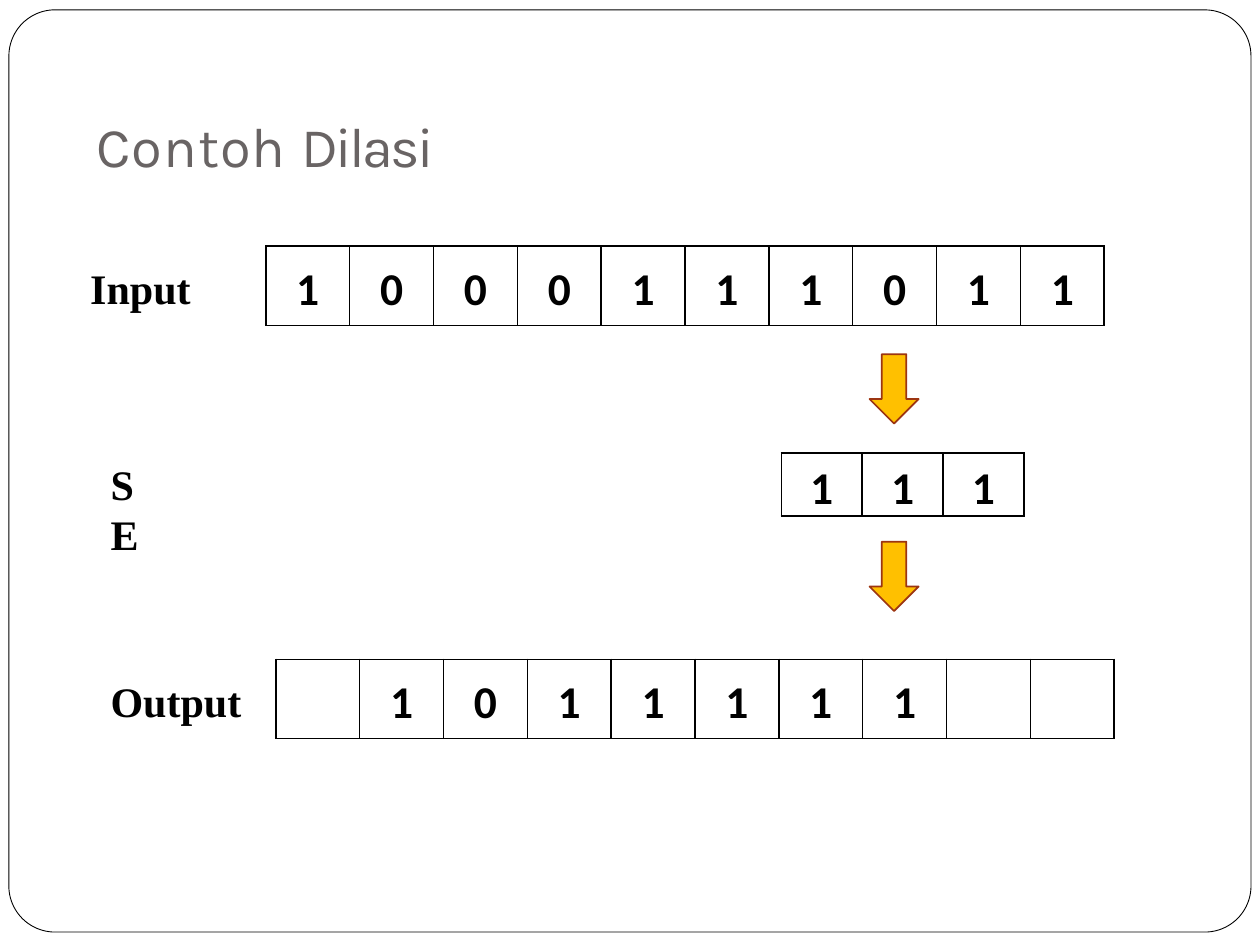
"""Build the slide showing a dilation example with input, element and output rows."""
import dataclasses
import typing

import lxml.etree
import pptx
import pptx.dml.color
import pptx.enum.shapes
import pptx.enum.text
import pptx.oxml.ns
import pptx.util

Cm, Pt = pptx.util.Cm, pptx.util.Pt
Shape = pptx.enum.shapes.MSO_SHAPE
Align = pptx.enum.text.PP_ALIGN
Anchor = pptx.enum.text.MSO_ANCHOR
Fit = pptx.enum.text.MSO_AUTO_SIZE

HEAD = {"name": "Karla", "size": Pt(32), "bold": False}
DIGIT = {"name": "Calibri", "size": Pt(26), "bold": True}
LABEL = {"name": "Times New Roman", "size": Pt(24), "bold": True}
CELL = {"margin_left": Cm(0.18), "margin_right": Cm(0.18), "margin_top": 0,
        "margin_bottom": 0, "vertical_anchor": Anchor.MIDDLE}


@dataclasses.dataclass
class Grid:
    """A row of bits; a space leaves its cell empty."""
    bits: str
    left: float
    top: float
    step: float
    high: float


@dataclasses.dataclass
class Label:
    """A caption beside a row of bits."""
    text: str
    left: float
    top: float
    wide: float
    wrap: bool = False


GRIDS = [Grid("1000111011", 5.36, 4.96, 1.69, 1.6),
         Grid("111", 15.75, 9.13, 1.63, 1.27),
         Grid(" 1011111  ", 5.56, 13.29, 1.69, 1.6)]
LABELS = [Label("Input", 1.57, 5.16, 2.57),
          Label("S E", 1.98, 9.12, 1.52, True),
          Label("Output", 1.98, 13.49, 3.18)]
ARROWS = [7.14, 10.92]


def hue(code: str) -> pptx.dml.color.RGBColor:
    """Turn a hex string into a colour."""
    return pptx.dml.color.RGBColor.from_string(code)


def apply(item: typing.Any, style: dict) -> None:
    """Set every attribute listed in a style."""
    for key, value in style.items():
        setattr(item, key, value)


def write(para: typing.Any, text: str, style: dict, code: str = "000000") -> typing.Any:
    """Add a formatted run to a paragraph."""
    run = para.add_run()
    run.text = text
    apply(run.font, style)
    run.font.color.rgb = hue(code)
    return run


def draw_shape(slide: typing.Any, kind: typing.Any, box: tuple, fill: str,
               line: str, width: float) -> typing.Any:
    """Draw a preset shape with a plain fill and outline."""
    shape = slide.shapes.add_shape(kind, *map(Cm, box))
    shape.shadow.inherit = False
    shape.fill.solid()
    shape.fill.fore_color.rgb = hue(fill)
    shape.line.color.rgb = hue(line)
    shape.line.width = Pt(width)
    return shape


def add_edges(cell: typing.Any) -> None:
    """Give a cell thin black borders."""
    qn = pptx.oxml.ns.qn
    props = cell._tc.get_or_add_tcPr()
    for side in ("lnL", "lnR", "lnT", "lnB"):
        line = lxml.etree.SubElement(props, qn(f"a:{side}"), w=str(Pt(1)))
        fill = lxml.etree.SubElement(line, qn("a:solidFill"))
        lxml.etree.SubElement(fill, qn("a:srgbClr"), val="000000")


def draw_grid(slide: typing.Any, grid: Grid) -> None:
    """Draw a row of bits as a table."""
    count = len(grid.bits)
    box = (grid.left, grid.top, grid.step * count, grid.high)
    table = slide.shapes.add_table(1, count, *map(Cm, box)).table
    apply(table, {"first_row": False, "horz_banding": False})
    for col, cell, bit in zip(table.columns, table.rows[0].cells, grid.bits):
        col.width = Cm(grid.step)
        apply(cell, CELL)
        add_edges(cell)
        cell.fill.background()
        if bit.strip():
            para = cell.text_frame.paragraphs[0]
            apply(para, {"alignment": Align.CENTER, "line_spacing": 1.15})
            write(para, bit, DIGIT)


def draw_label(slide: typing.Any, label: Label) -> None:
    """Draw a caption."""
    box = (label.left, label.top, label.wide, 1.27)
    frame = slide.shapes.add_textbox(*map(Cm, box)).text_frame
    apply(frame, {"word_wrap": label.wrap, "auto_size": Fit.SHAPE_TO_FIT_TEXT})
    write(frame.paragraphs[0], label.text, LABEL)


def draw_title(title: typing.Any) -> None:
    """Place and fill the title."""
    apply(title, {"left": Cm(1.91), "top": Cm(2.18),
                  "width": Cm(7.26), "height": Cm(1.42)})
    frame = title.text_frame
    apply(frame, {"margin_left": Cm(0.03), "margin_right": 0,
                  "margin_top": Cm(0.03), "margin_bottom": 0, "word_wrap": True,
                  "vertical_anchor": Anchor.BOTTOM,
                  "auto_size": Fit.SHAPE_TO_FIT_TEXT})
    para = frame.paragraphs[0]
    para.alignment = Align.LEFT
    for text, space in (("Contoh ", 60), ("Dilasi", -160)):
        run = write(para, text, HEAD, "696464")
        run._r.get_or_add_rPr().set("spc", str(space))


def main() -> None:
    """Build and save the slide."""
    deck = pptx.Presentation()
    apply(deck, {"slide_width": Cm(25.4), "slide_height": Cm(19.05)})
    slide = deck.slides.add_slide(deck.slide_layouts[5])
    title = slide.shapes.title
    frame = draw_shape(slide, Shape.ROUNDED_RECTANGLE, (0.18, 0.2, 25.04, 18.59),
                       "FFFFFF", "000000", 0.5)
    frame.adjustments[0] = 0.05
    title.element.addprevious(frame.element)
    draw_title(title)
    for grid in GRIDS:
        draw_grid(slide, grid)
    for top in ARROWS:
        draw_shape(slide, Shape.DOWN_ARROW, (17.53, top, 0.99, 1.4),
                   "FFC000", "9C3511", 1)
    for label in LABELS:
        draw_label(slide, label)
    deck.save("out.pptx")


if __name__ == "__main__":
    main()
